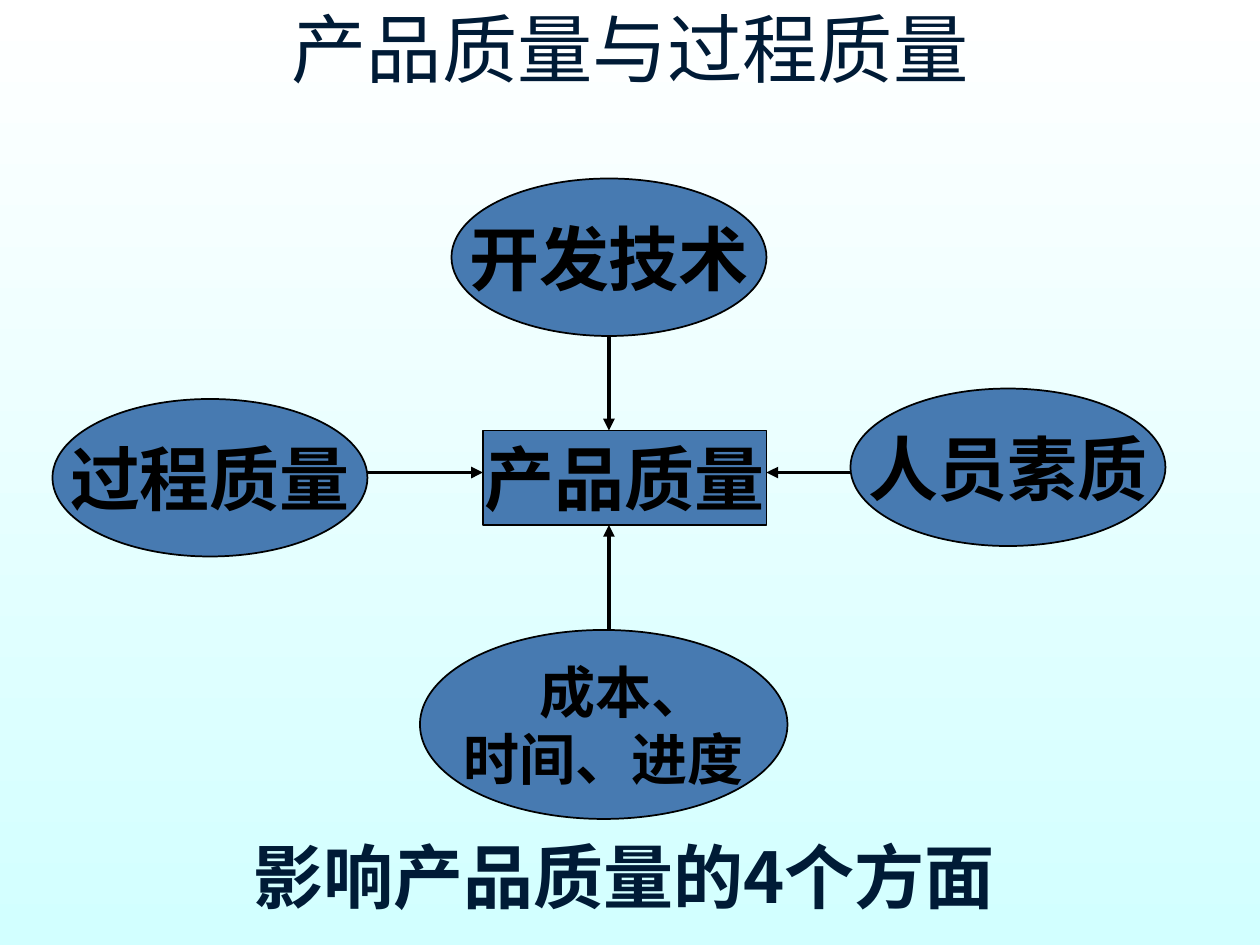
"""Build the slide on the four factors that shape product quality."""
from dataclasses import dataclass

from lxml.etree import SubElement
from pptx import Presentation
from pptx.dml.color import RGBColor
from pptx.enum.shapes import MSO_CONNECTOR as Connector, MSO_SHAPE as Shape
from pptx.enum.text import MSO_ANCHOR as Anchor, MSO_AUTO_SIZE as AutoSize, PP_ALIGN as Align
from pptx.oxml.ns import qn
from pptx.util import Pt

SCALE = 914400 // 120


@dataclass(frozen=True)
class Theme:
    font: str = "Noto Sans CJK SC"
    ink: str = "001B36"
    black: str = "000000"
    node: str = "477AB1"
    sky: tuple[str, str] = ("FFFFFF", "D2FFFF")
    title: int = 43
    large: int = 40
    small: int = 32
    outline: float = 1
    arrow: float = 2.25


@dataclass(frozen=True)
class Node:
    kind: Shape
    place: tuple[int, int, int, int]
    lines: tuple[str, ...]
    size: int
    indent: int = 0


@dataclass(frozen=True)
class Arrow:
    start: tuple[int, int]
    end: tuple[int, int]


THEME = Theme()

NODES = (
    Node(Shape.RECTANGLE, (460, 410, 270, 90), ("产品质量",), THEME.large),
    Node(Shape.OVAL, (430, 170, 300, 150), ("开发技术",), THEME.large),
    Node(Shape.OVAL, (400, 600, 350, 180), ("成本、", "时间、进度"), THEME.small, 38),
    Node(Shape.OVAL, (50, 380, 300, 150), ("过程质量",), THEME.large),
    Node(Shape.OVAL, (810, 370, 300, 150), ("人员素质",), THEME.large),
)

ARROWS = (
    Arrow((580, 320), (580, 410)),
    Arrow((580, 600), (580, 500)),
    Arrow((350, 450), (460, 450)),
    Arrow((810, 450), (730, 450)),
)


def px(*lengths: int) -> list[int]:
    return [length * SCALE for length in lengths]


def rgb(value: str) -> RGBColor:
    return RGBColor.from_string(value)


def apply(target, values: dict) -> None:
    for name, value in values.items():
        setattr(target, name, value)


def write(box, lines: tuple[str, ...], size: int, color: str, bold: bool = True,
          align: Align = Align.CENTER, indent: int = 0, **frame_format) -> None:
    frame = box.text_frame
    apply(frame, frame_format)
    for number, line in enumerate(lines):
        para = frame.add_paragraph() if number else frame.paragraphs[0]
        para.alignment = align
        if indent and number == 0:
            para._p.get_or_add_pPr().set("marL", str(indent * SCALE))
        span = para.add_run()
        span.text = line
        apply(span.font, {"name": THEME.font, "size": Pt(size), "bold": bold})
        span.font.color.rgb = rgb(color)
        SubElement(span._r.get_or_add_rPr(), qn("a:ea"), typeface=THEME.font)


def draw_node(page, node: Node) -> None:
    box = page.shapes.add_shape(node.kind, *px(*node.place))
    box.shadow.inherit = False
    box.fill.solid()
    box.fill.fore_color.rgb = rgb(THEME.node)
    box.line.color.rgb = rgb(THEME.black)
    box.line.width = Pt(THEME.outline)
    write(box, node.lines, node.size, THEME.black, indent=node.indent,
          word_wrap=False, vertical_anchor=Anchor.MIDDLE)


def draw_arrow(page, arrow: Arrow) -> None:
    line = page.shapes.add_connector(Connector.STRAIGHT, *px(*arrow.start, *arrow.end))
    line.line.color.rgb = rgb(THEME.black)
    line.line.width = Pt(THEME.arrow)
    SubElement(line.line._get_or_add_ln(), qn("a:tailEnd"), type="triangle")
    SubElement(line._element.spPr, qn("a:effectLst"))


def paint_background(page) -> None:
    fill = page.background.fill
    fill.gradient()
    fill.gradient_angle = 270
    for stop, color in zip(fill.gradient_stops, THEME.sky):
        stop.color.rgb = rgb(color)


def main() -> None:
    deck = Presentation()
    apply(deck, dict(zip(("slide_width", "slide_height"), px(1200, 900))))
    page = deck.slides.add_slide(deck.slide_layouts[6])
    paint_background(page)

    title = page.shapes.add_textbox(*px(10, 0, 1180, 90))
    write(title, ("产品质量与过程质量",), THEME.title, THEME.ink, bold=False,
          word_wrap=True, vertical_anchor=Anchor.MIDDLE)
    for node in NODES:
        draw_node(page, node)
    for arrow in ARROWS:
        draw_arrow(page, arrow)
    caption = page.shapes.add_textbox(*px(230, 788, 769, 92))
    write(caption, ("影响产品质量的4个方面",), THEME.large, THEME.ink, align=Align.LEFT,
          word_wrap=True, auto_size=AutoSize.SHAPE_TO_FIT_TEXT)
    deck.save("out.pptx")


if __name__ == "__main__":
    main()
